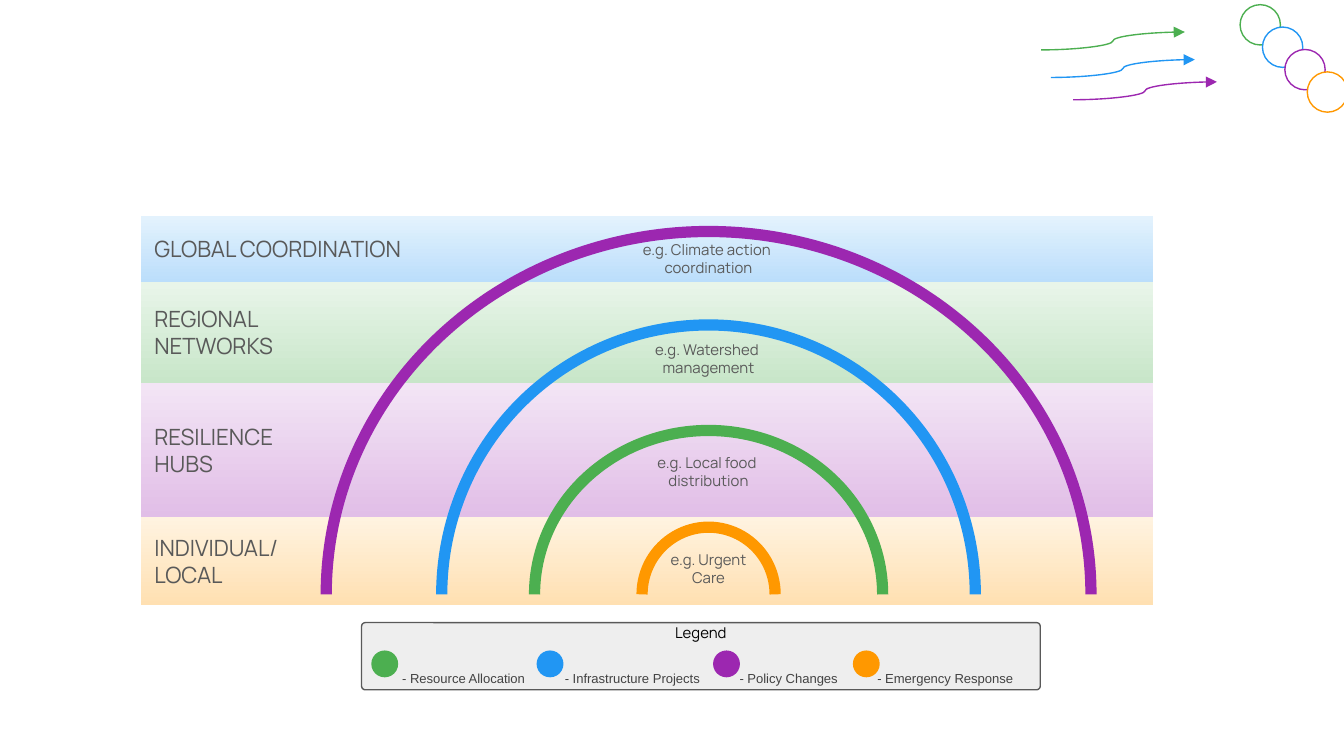
import dataclasses

import pptx
import pptx.dml.color
import pptx.enum.shapes
import pptx.enum.text
import pptx.oxml
import pptx.oxml.ns
import pptx.util

RGB = pptx.dml.color.RGBColor
SHAPE = pptx.enum.shapes.MSO_SHAPE
ALIGN = pptx.enum.text.PP_ALIGN
ANCHOR = pptx.enum.text.MSO_ANCHOR

GREEN = RGB(0x4C, 0xAF, 0x50)
BLUE = RGB(0x21, 0x96, 0xF3)
PURPLE = RGB(0x9C, 0x27, 0xB0)
ORANGE = RGB(0xFF, 0x98, 0x00)
GREY = RGB(0x59, 0x59, 0x59)
DARK_GREY = RGB(0x43, 0x43, 0x43)
PANEL = RGB(0xEE, 0xEE, 0xEE)
BLACK = RGB(0, 0, 0)
WHITE = RGB(0xFF, 0xFF, 0xFF)

# Grid of square cells; the slide is 16:9
CELL = pptx.util.Inches(0.1)
COLUMNS, ROWS = 100, 56.25
BAND_LEFT, BAND_TOP, BAND_WIDTH = 10.5, 16.1, 75.3
ARC_AXIS, ARC_BASE = 52.72, 44.23
LABEL_WIDTH, LABEL_HEIGHT = 21.2, 4.1
LEGEND_LEFT, LEGEND_TEXT_LEFT = 26.9, 29.93


@dataclasses.dataclass
class Band:
    label: str
    rows: float
    label_top: float
    light: RGB
    deep: RGB


@dataclasses.dataclass
class Arc:
    example: str
    example_top: float
    width: float
    height: float
    color: RGB


@dataclasses.dataclass
class LegendEntry:
    label: str
    dot_left: float
    text_left: float
    color: RGB


BANDS = [
    Band("GLOBAL COORDINATION", 4.9, 16.44, RGB(0xE3, 0xF2, 0xFD), RGB(0xBB, 0xDE, 0xFB)),
    Band("REGIONAL\nNETWORKS", 7.5, 22.65, RGB(0xE8, 0xF5, 0xE9), RGB(0xC8, 0xE6, 0xC9)),
    Band("RESILIENCE\nHUBS", 10, 31.44, RGB(0xF3, 0xE5, 0xF5), RGB(0xE1, 0xBE, 0xE7)),
    Band("INDIVIDUAL/\nLOCAL", 6.5, 39.7, RGB(0xFF, 0xF3, 0xE0), RGB(0xFF, 0xE0, 0xB2)),
]
ARCS = [
    Arc("e.g. Climate action \ncoordination", 17.2, 56.9, 54, PURPLE),
    Arc("e.g. Watershed \nmanagement", 24.63, 39.7, 40.1, BLUE),
    Arc("e.g. Local food \ndistribution", 33.06, 25.9, 24.4, GREEN),
    Arc("e.g. Urgent\nCare", 40.24, 9.9, 10, ORANGE),
]
LEGEND = [
    LegendEntry("- Resource Allocation", 27.63, 29.93, GREEN),
    LegendEntry("- Infrastructure Projects", 39.93, 42.03, BLUE),
    LegendEntry("- Policy Changes", 53.06, 55.03, PURPLE),
    LegendEntry("- Emergency Response", 63.46, 65.28, ORANGE),
]
ARROW_STARTS = [(77.46, 3.72, GREEN), (78.2, 5.77, BLUE), (79.85, 7.43, PURPLE)]


def cells(*counts: float) -> list[pptx.util.Emu]:
    return [pptx.util.Emu(round(count * CELL)) for count in counts]


def write(frame, text: str, *, size: float, color: RGB, font="Manrope", align=ALIGN.LEFT,
          anchor=ANCHOR.MIDDLE, insets=(1, 1, 1, 1), spacing=None) -> None:
    frame.word_wrap = True
    frame.vertical_anchor = anchor
    (frame.margin_left, frame.margin_top,
     frame.margin_right, frame.margin_bottom) = cells(*insets)
    for index, line in enumerate(text.split("\n")):
        paragraph = frame.add_paragraph() if index else frame.paragraphs[0]
        paragraph.alignment = align
        if spacing:
            paragraph.line_spacing = spacing
        run = paragraph.add_run()
        run.text = line
        run.font.size = pptx.util.Pt(size)
        run.font.name = font
        run.font.color.rgb = color


def add_figure(shapes, kind, box: tuple, fill=None, line=None, weight=0.75):
    figure = shapes.add_shape(kind, *cells(*box))
    figure.shadow.inherit = False
    if fill is None:
        figure.fill.background()
    else:
        figure.fill.solid()
        figure.fill.fore_color.rgb = fill
    if line is None:
        figure.line.fill.background()
    else:
        figure.line.color.rgb = line
        figure.line.width = pptx.util.Pt(weight)
    return figure


def add_label(shapes, text: str, left: float, top: float, **text_format) -> None:
    box = shapes.add_textbox(*cells(left, top, LABEL_WIDTH, LABEL_HEIGHT))
    write(box.text_frame, text, color=GREY, **text_format)


def add_band(shapes, band: Band, top: float) -> None:
    stripe = add_figure(shapes, SHAPE.RECTANGLE, (BAND_LEFT, top, BAND_WIDTH, band.rows))
    stripe.fill.gradient()
    stripe.fill.gradient_angle = 270
    for stop, color in zip(stripe.fill.gradient_stops, (band.light, band.deep)):
        stop.color.rgb = color


def add_arc(shapes, arc: Arc) -> None:
    box = (ARC_AXIS - arc.width / 2, ARC_BASE - arc.height / 2, arc.width, arc.height)
    curve = add_figure(shapes, SHAPE.ARC, box, line=arc.color, weight=6)
    curve.adjustments[0], curve.adjustments[1] = 108, 0  # half turn to zero


def add_arrow(shapes, left: float, bottom: float, color: RGB) -> None:
    arrow = shapes.add_connector(pptx.enum.shapes.MSO_CONNECTOR.CURVE,
                                 *cells(left, bottom, left + 10.7, bottom - 1.33))
    arrow.line.color.rgb = color
    arrow.line.width = pptx.util.Pt(0.75)
    properties = arrow._element.spPr
    namespace = pptx.oxml.ns.nsdecls("a")
    properties.find(pptx.oxml.ns.qn("a:ln")).append(
        pptx.oxml.parse_xml(f'<a:tailEnd {namespace} type="triangle"/>'))
    properties.append(pptx.oxml.parse_xml(f'<a:effectLst {namespace}/>'))


def add_legend(shapes) -> None:
    legend = shapes.add_group_shape().shapes
    panel = add_figure(legend, SHAPE.ROUNDED_RECTANGLE, (LEGEND_LEFT, 46.33, 50.5, 5),
                       fill=PANEL, line=GREY)
    panel.adjustments[0] = 0.055
    write(panel.text_frame, "Legend", size=8, color=BLACK, align=ALIGN.CENTER,
          anchor=ANCHOR.TOP, insets=(0.5, 0, 0.5, 0.5))

    # Labels share one line, each at its own tab stop
    labels = legend.add_textbox(*cells(LEGEND_TEXT_LEFT, 48.7, 56.3, 2)).text_frame
    write(labels, "\t".join(entry.label for entry in LEGEND), size=7, color=DARK_GREY,
          font="Arial", anchor=ANCHOR.TOP, insets=(0, 0, 0, 0), spacing=2.0)
    stops = "".join(f'<a:tab pos="{cells(entry.text_left - LEGEND_TEXT_LEFT)[0]:d}" algn="l"/>'
                    for entry in LEGEND[1:])
    labels.paragraphs[0]._p.get_or_add_pPr().append(pptx.oxml.parse_xml(
        f'<a:tabLst {pptx.oxml.ns.nsdecls("a")}>{stops}</a:tabLst>'))

    for entry in LEGEND:
        add_figure(legend, SHAPE.OVAL, (entry.dot_left, 48.4, 2, 2), fill=entry.color)


def main() -> None:
    deck = pptx.Presentation()
    deck.slide_width, deck.slide_height = cells(COLUMNS, ROWS)
    shapes = deck.slides.add_slide(deck.slide_layouts[6]).shapes

    # Stacked levels and their names
    top = BAND_TOP
    for band in BANDS:
        add_band(shapes, band, top)
        top += band.rows
    for band in BANDS:
        add_label(shapes, band.label, BAND_LEFT, band.label_top, size=12)

    add_legend(shapes)

    # Chain of rings and flow arrows in the corner
    for index, color in enumerate((GREEN, BLUE, PURPLE, ORANGE)):
        step = index * 5 / 3
        add_figure(shapes, SHAPE.OVAL, (92.27 + step, 0.35 + step, 3, 3),
                   fill=WHITE, line=color)
    for left, bottom, color in ARROW_STARTS:
        add_arrow(shapes, left, bottom, color)

    # Concentric arcs with their examples
    for arc in ARCS:
        add_arc(shapes, arc)
    for arc in ARCS:
        add_label(shapes, arc.example, ARC_AXIS - LABEL_WIDTH / 2, arc.example_top,
                  size=8, align=ALIGN.CENTER)

    deck.save("out.pptx")


if __name__ == "__main__":
    main()
